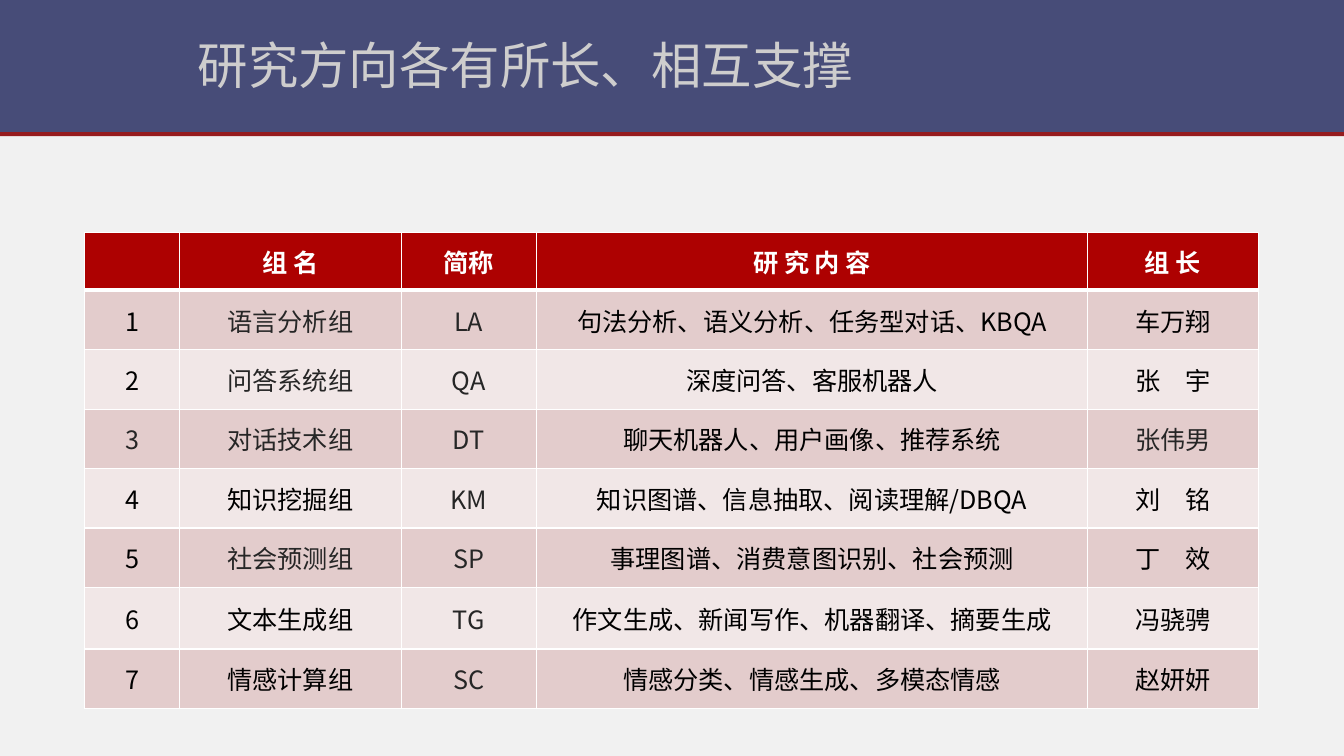
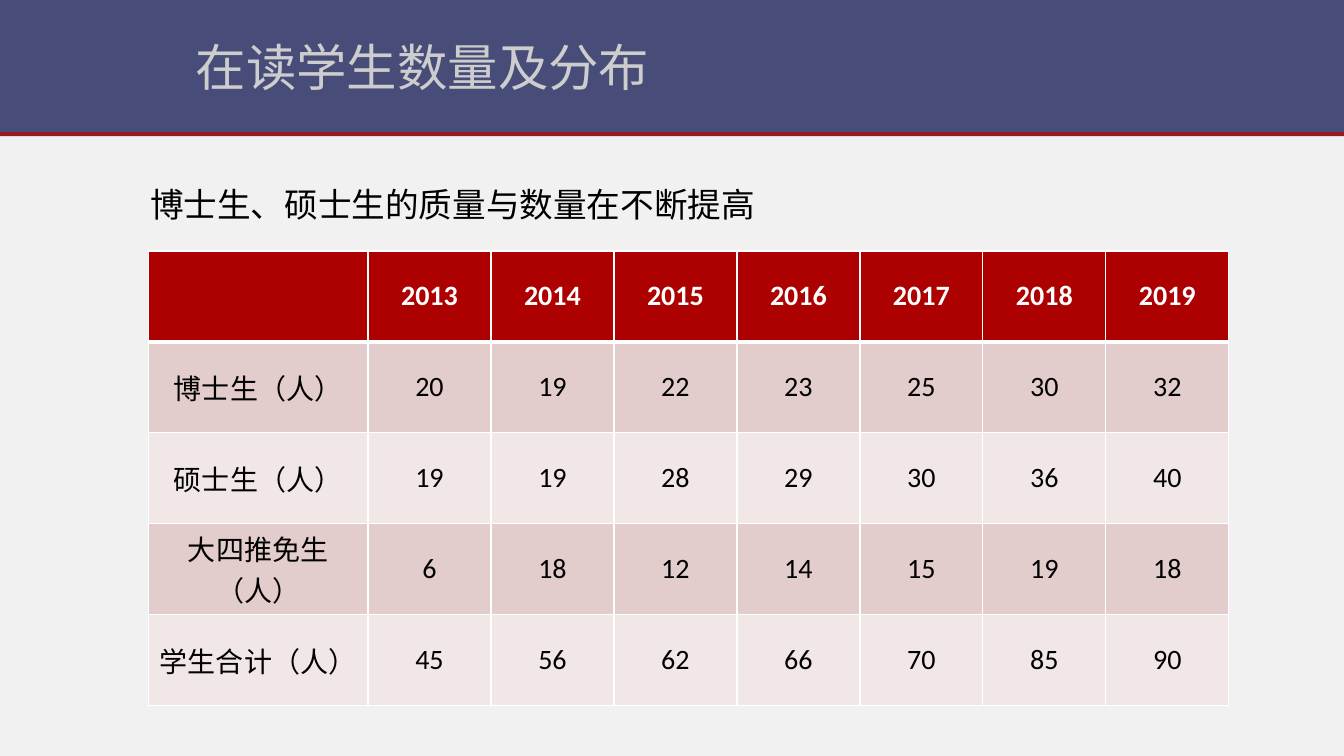
from dataclasses import dataclass

from lxml import etree
from pptx import Presentation
from pptx.dml.color import RGBColor
from pptx.enum.shapes import MSO_SHAPE
from pptx.enum.text import MSO_ANCHOR, MSO_AUTO_SIZE, PP_ALIGN
from pptx.oxml.ns import qn
from pptx.util import Emu, Pt

RECTANGLE = MSO_SHAPE.RECTANGLE
MIDDLE = MSO_ANCHOR.MIDDLE
NO_AUTOFIT = MSO_AUTO_SIZE.NONE
LEFT, CENTER = PP_ALIGN.LEFT, PP_ALIGN.CENTER

EMU_PER_PX = 9144
SLIDE_WIDTH, SLIDE_HEIGHT = 1333, 750
TITLE_ONLY_LAYOUT = 5


@dataclass(frozen=True)
class Theme:
    background: str = "F1F1F1"
    band: str = "474C78"
    rule: str = "961B1E"
    title: str = "CECDCD"
    ink: str = "000000"
    muted: str = "262626"
    white: str = "FFFFFF"
    header: str = "AD0101"
    row_fills: tuple = ("E3CCCC", "F1E7E7")
    chinese_font: str = "Noto Sans CJK SC"
    number_font: str = "Calibri"
    title_size: int = 36
    lead_size: int = 24
    group_size: int = 18
    student_size: int = 20
    border: int = 1
    header_border: int = 3


THEME = Theme()

GROUP_HEADER = ["", "组 名", "简称", "研 究 内 容", "组 长"]
GROUPS = [
    ["语言分析组", "LA", "句法分析、语义分析、任务型对话、KBQA", "车万翔"],
    ["问答系统组", "QA", "深度问答、客服机器人", "张　宇"],
    ["对话技术组", "DT", "聊天机器人、用户画像、推荐系统", "张伟男"],
    ["知识挖掘组", "KM", "知识图谱、信息抽取、阅读理解/DBQA", "刘　铭"],
    ["社会预测组", "SP", "事理图谱、消费意图识别、社会预测", "丁　效"],
    ["文本生成组", "TG", "作文生成、新闻写作、机器翻译、摘要生成", "冯骁骋"],
    ["情感计算组", "SC", "情感分类、情感生成、多模态情感", "赵妍妍"],
]
ABBREVIATION_COLUMN = 2
MUTED_CELLS = {(1, 1), (2, 1), (3, 0), (3, 1), (3, 4), (5, 1)} | {
    (row, ABBREVIATION_COLUMN) for row in range(1, len(GROUPS) + 1)
}

YEARS = range(2013, 2020)
STUDENTS = {
    "博士生（人）": [20, 19, 22, 23, 25, 30, 32],
    "硕士生（人）": [19, 19, 28, 29, 30, 36, 40],
    "大四推免生（人）": [6, 18, 12, 14, 15, 19, 18],
}


def px(*lengths):
    return [Emu(length * EMU_PER_PX) for length in lengths]


def rgb(color):
    return RGBColor.from_string(color)


def format_text(frame, size, color, font=THEME.chinese_font, bold=False, align=LEFT):
    for para in frame.paragraphs:
        para.alignment = align
        for span in para.runs:
            span.font.size = Pt(size)
            span.font.name = font
            span.font.bold = bold
            span.font.color.rgb = rgb(color)


def set_chinese_font(shape):
    """Give every run the East Asian typeface, beside its Latin one."""
    for latin in shape.element.iter(qn("a:latin")):
        east_asian = etree.Element(qn("a:ea"), typeface=THEME.chinese_font)
        latin.addnext(east_asian)


def add_band(slide, layout, top, height, color):
    """Draw a full-width band and move it to the back of the layout."""
    band = slide.shapes.add_shape(RECTANGLE, *px(0, top, SLIDE_WIDTH, height))
    band.shadow.inherit = False
    band.fill.solid()
    band.fill.fore_color.rgb = rgb(color)
    band.line.fill.background()
    layout.shapes.element.insert(2, band.element)


def style_layout(slide, layout):
    layout.background.fill.solid()
    layout.background.fill.fore_color.rgb = rgb(THEME.background)
    add_band(slide, layout, 0, 131, THEME.band)
    add_band(slide, layout, 131, 4, THEME.rule)


def set_title(slide, text, left, top, width):
    title = slide.shapes.title
    title.left, title.top, title.width, title.height = px(left, top, width, 125)
    frame = title.text_frame
    frame.text = text
    frame.vertical_anchor = MIDDLE
    frame.auto_size = NO_AUTOFIT
    format_text(frame, THEME.title_size, THEME.title)
    set_chinese_font(title)


def add_lead(slide, text):
    box = slide.shapes.add_textbox(*px(139, 178, 626, 50))
    box.text_frame.text = text
    box.text_frame.word_wrap = False
    format_text(box.text_frame, THEME.lead_size, THEME.ink)
    set_chinese_font(box)


def set_borders(frame):
    """Rule all cells in white, with a heavier line under the header."""
    for row, table_row in enumerate(frame.element.iter(qn("a:tr"))):
        widths = {
            "a:lnL": THEME.border,
            "a:lnR": THEME.border,
            "a:lnT": THEME.header_border if row == 1 else THEME.border,
            "a:lnB": THEME.header_border if row == 0 else THEME.border,
        }
        for properties in table_row.iter(qn("a:tcPr")):
            for position, (tag, width) in enumerate(widths.items()):
                line = etree.Element(qn(tag), w=str(Pt(width)))
                fill = etree.SubElement(line, qn("a:solidFill"))
                etree.SubElement(fill, qn("a:srgbClr"), val=THEME.white)
                properties.insert(position, line)


def add_table(slide, rows, left, top, widths, heights, size, font, muted=()):
    frame = slide.shapes.add_table(
        len(rows), len(widths), *px(left, top, sum(widths), sum(heights))
    )
    table = frame.table
    table.horz_banding = False
    for column, width in zip(table.columns, px(*widths)):
        column.width = width
    for table_row, height in zip(table.rows, px(*heights)):
        table_row.height = height
    for row, texts in enumerate(rows):
        is_header = row == 0
        fill = THEME.header if is_header else THEME.row_fills[(row - 1) % 2]
        for column, text in enumerate(texts):
            cell = table.cell(row, column)
            cell.fill.solid()
            cell.fill.fore_color.rgb = rgb(fill)
            cell.vertical_anchor = MIDDLE
            cell.text_frame.text = str(text)
            body_color = THEME.muted if (row, column) in muted else THEME.ink
            color = THEME.white if is_header else body_color
            format_text(cell.text_frame, size, color, font, is_header, CENTER)
    set_borders(frame)
    set_chinese_font(frame)


def build_groups(slide):
    set_title(slide, "研究方向各有所长、相互支撑", 186, 1, 861)
    rows = [GROUP_HEADER]
    rows += [[number, *group] for number, group in enumerate(GROUPS, 1)]
    add_table(
        slide, rows, 84, 231,
        widths=[94, 220, 134, 547, 169],
        heights=[57, 59, 59, 59, 59, 59, 61, 59],
        size=THEME.group_size, font=THEME.chinese_font, muted=MUTED_CELLS,
    )


def build_students(slide):
    set_title(slide, "在读学生数量及分布", 184, 3, 900)
    totals = [sum(counts) for counts in zip(*STUDENTS.values())]
    rows = [["", *YEARS]]
    rows += [[label, *counts] for label, counts in STUDENTS.items()]
    rows.append(["学生合计（人）", *totals])
    add_table(
        slide, rows, 147, 249,
        widths=[218] + [122] * len(YEARS),
        heights=[90] * len(rows),
        size=THEME.student_size, font=THEME.number_font,
    )
    add_lead(slide, "博士生、硕士生的质量与数量在不断提高")


def main():
    deck = Presentation()
    deck.slide_width, deck.slide_height = px(SLIDE_WIDTH, SLIDE_HEIGHT)
    layout = deck.slide_layouts[TITLE_ONLY_LAYOUT]
    pages = [deck.slides.add_slide(layout) for _ in range(2)]
    style_layout(pages[0], layout)
    build_groups(pages[0])
    build_students(pages[1])
    deck.save("out.pptx")


if __name__ == "__main__":
    main()
